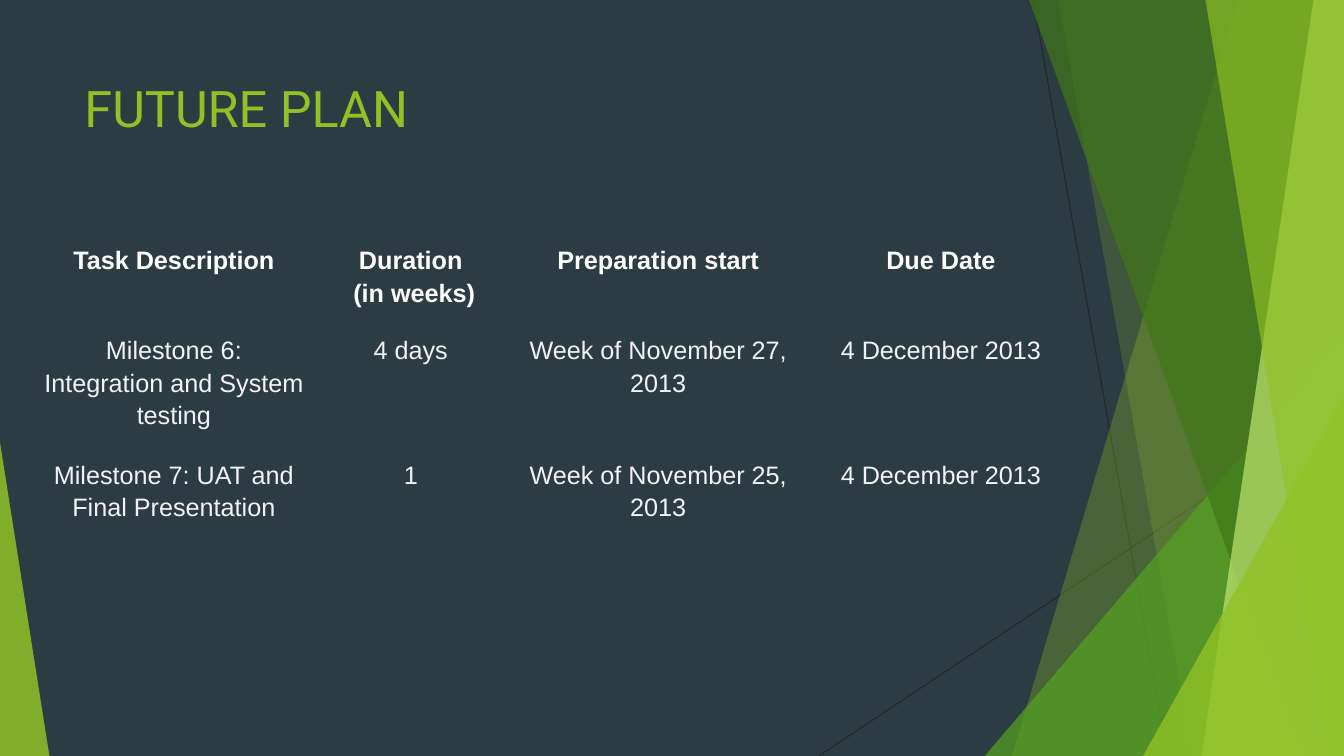
from lxml.etree import SubElement
from pptx import Presentation
from pptx.dml.color import RGBColor
from pptx.enum.shapes import MSO_CONNECTOR, MSO_SHAPE
from pptx.enum.text import MSO_ANCHOR, PP_ALIGN
from pptx.oxml.ns import qn
from pptx.util import Pt

WIDTH, HEIGHT = 960, 540
GREEN = "90C226"
MARGINS = {"margin_left": Pt(7.2), "margin_right": Pt(7.2),
           "margin_top": Pt(7.2), "margin_bottom": Pt(7.2)}


def color(value):
    return RGBColor.from_string(value)


def write(para, text, size, font, value, bold=False):
    span = para.add_run()
    span.text = text
    span.font.color.rgb = color(value)
    for name, setting in {"size": Pt(size), "name": font, "bold": bold}.items():
        setattr(span.font, name, setting)


deck = Presentation()
deck.slide_width, deck.slide_height = Pt(WIDTH), Pt(HEIGHT)
page = deck.slides.add_slide(deck.slide_layouts[6])
page.background.fill.solid()
page.background.fill.fore_color.rgb = color("2C3C43")

for ends in [(738, 0, 834, HEIGHT), (WIDTH, 290, 584.8, HEIGHT)]:
    line = page.shapes.add_connector(MSO_CONNECTOR.STRAIGHT, *map(Pt, ends))
    line.line.color.rgb = color("262626")
    line.line.width = Pt(0.75)
    SubElement(line._element.spPr, qn("a:effectLst"))

facets = [
    ("band", (884.2, 722.9), GREEN, 30),
    ("band", (756, 851.8), GREEN, 20),
    ("triangle", (703.4, 239.8, 256.6, 1), "54A021", 72),
    ("band", (735.1, 929.5), "3F7818", 70),
    ("band", (938.2, 858.2), "BFE471", 70),
    ("band", (861.1, 949), GREEN, 65),
    ("triangle", (816.5, 283, 143.5, 1), GREEN, 80),
    ("triangle", (0, 316, 35.3, 0), GREEN, 85),
]
for kind, geometry, fill, opacity in facets:
    if kind == "band":
        top, bottom = geometry
        outline = page.shapes.build_freeform(Pt(top), 0)
        outline.add_line_segments(
            [(Pt(WIDTH), 0), (Pt(WIDTH), Pt(HEIGHT)), (Pt(bottom), Pt(HEIGHT))])
        facet = outline.convert_to_shape()
    else:
        left, top, width, apex = geometry
        facet = page.shapes.add_shape(
            MSO_SHAPE.ISOSCELES_TRIANGLE, Pt(left), Pt(top), Pt(width), Pt(HEIGHT - top))
        facet.adjustments[0] = apex
    facet.shadow.inherit = False
    facet.line.fill.background()
    facet.fill.solid()
    facet.fill.fore_color.rgb = color(fill)
    tint = facet._element.spPr.find(qn("a:solidFill"))[0]
    SubElement(tint, qn("a:alpha")).set("val", str(opacity * 1000))

title = page.shapes.add_textbox(Pt(53.3), Pt(48.2), Pt(676.8), Pt(103.7)).text_frame
for name, setting in {**MARGINS, "word_wrap": True, "vertical_anchor": MSO_ANCHOR.TOP}.items():
    setattr(title, name, setting)
write(title.paragraphs[0], "FUTURE PLAN", 36, "Roboto", GREEN)

plan = [
    ["Task Description", "Duration\n (in weeks)", "Preparation start", "Due Date"],
    ["Milestone 6:\nIntegration and System testing", "4 days",
     "Week of November 27, 2013", "4 December 2013"],
    ["Milestone 7: UAT and Final Presentation", "1",
     "Week of November 25, 2013", "4 December 2013"],
]
widths = [212.4, 126, 227.5, 176.4]
heights = [58.3, 63.4, 54.7]
table = page.shapes.add_table(
    len(plan), len(widths), Pt(18), Pt(166.3), Pt(sum(widths)), Pt(sum(heights))).table
table.horz_banding = False
table._tbl.tblPr.find(qn("a:tableStyleId")).text = "{2D5ABB26-0587-4C30-8999-92F81FD0307C}"
for column, width in zip(table.columns, widths):
    column.width = Pt(width)
for index, (row, height) in enumerate(zip(table.rows, heights)):
    row.height = Pt(height)
    header = index == 0
    for cell, text in zip(row.cells, plan[index]):
        cell.fill.background()
        for name, setting in MARGINS.items():
            setattr(cell, name, setting)
        for number, words in enumerate(text.split("\n")):
            frame = cell.text_frame
            para = frame.add_paragraph() if number else frame.paragraphs[0]
            para.alignment = PP_ALIGN.CENTER
            para.line_spacing = 1.15
            write(para, words, 18, "Arial", "FFFFFF" if header else "F3F3F3", header)

deck.save("out.pptx")
